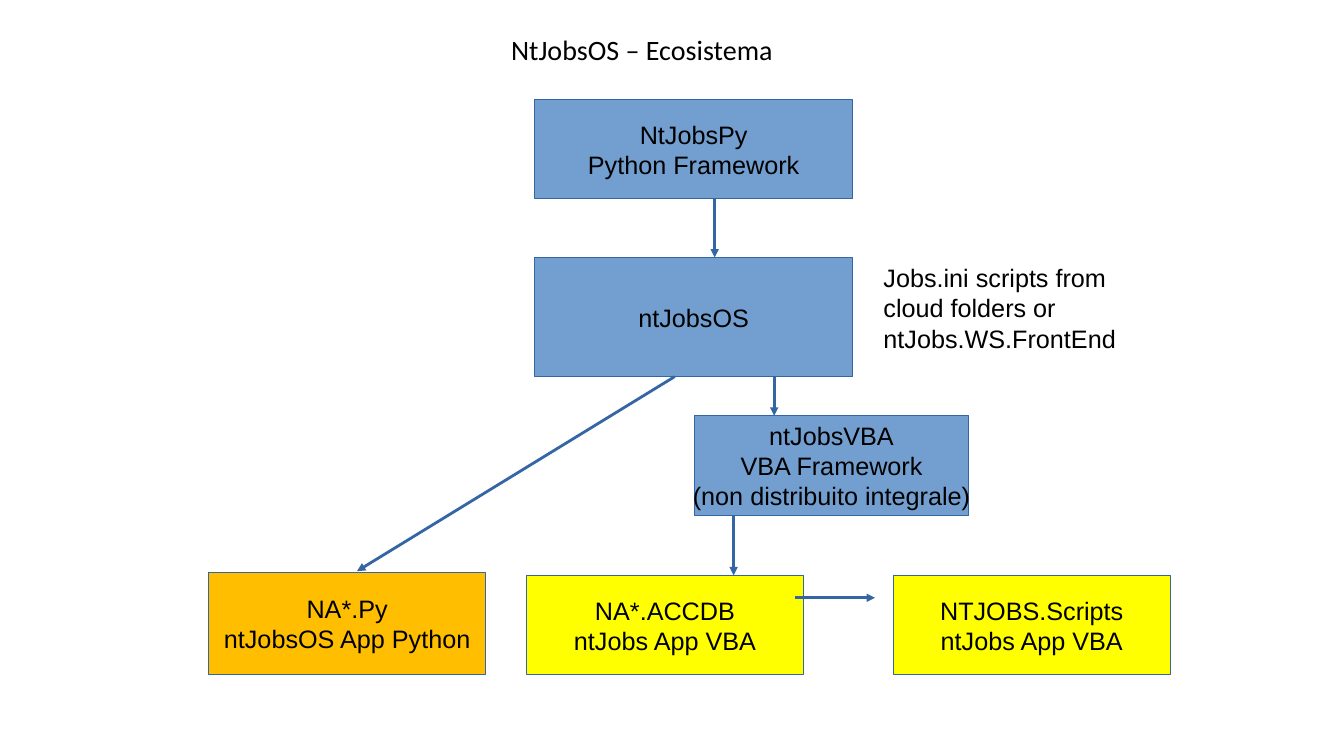
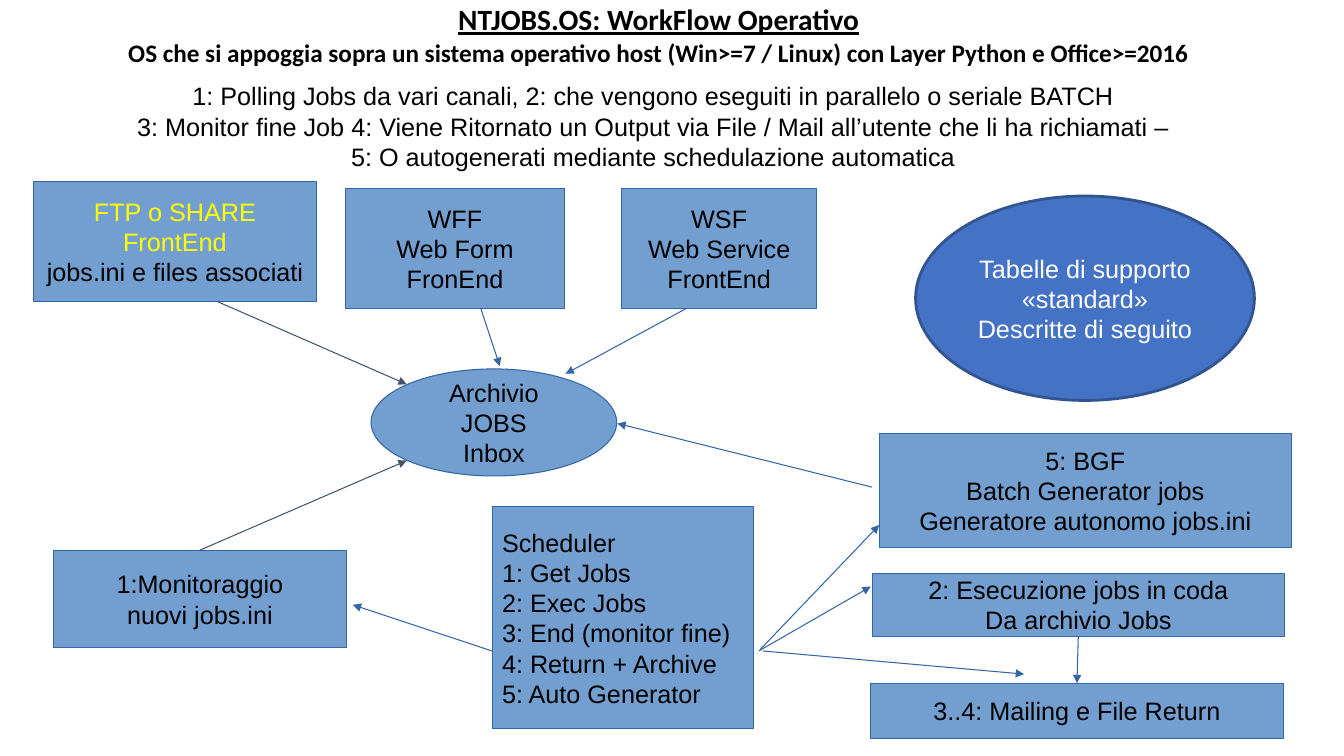
from dataclasses import dataclass
from typing import NamedTuple

from lxml import etree
from pptx import Presentation
from pptx.dml.color import RGBColor
from pptx.enum.shapes import MSO_CONNECTOR, MSO_SHAPE
from pptx.enum.text import MSO_ANCHOR, PP_ALIGN
from pptx.oxml.ns import qn
from pptx.util import Pt

RECT, OVAL = MSO_SHAPE.RECTANGLE, MSO_SHAPE.OVAL
STRAIGHT = MSO_CONNECTOR.STRAIGHT
LEFT, CENTER = PP_ALIGN.LEFT, PP_ALIGN.CENTER
TOP, MIDDLE = MSO_ANCHOR.TOP, MSO_ANCHOR.MIDDLE
SIDE_TOP, SIDE_BOTTOM = 0, 2

COLORS = {
    "black": "000000",
    "white": "FFFFFF",
    "blue": "729FCF",
    "edge": "3465A4",
    "yellow": "FFFF00",
    "orange": "FFBF00",
    "royal": "4472C4",
    "navy": "325490",
    "slate": "44546A",
}


class Area(NamedTuple):
    x: float
    y: float
    w: float
    h: float


@dataclass
class Box:
    name: str
    area: Area
    text: str
    fill: str = "blue"
    kind: int = RECT
    edge: str = "edge"
    width: float | None = None
    ink: str = "black"
    align: int = CENTER


class Arrow(NamedTuple):
    x1: float
    y1: float
    x2: float
    y2: float
    color: str = "edge"
    tail: str = ""
    head: str = ""


def color(name: str) -> RGBColor:
    return RGBColor.from_string(COLORS[name])


def write(frame, text: str, ink: str = "black", align=CENTER,
          font: str = "Arial", size: float = 18) -> None:
    """Fill a text frame, one paragraph a line, in one style."""
    frame.text = text
    for par in frame.paragraphs:
        par.alignment = align
        for run in par.runs:
            run.font.name, run.font.size = font, Pt(size)
            run.font.color.rgb = color(ink)


def add_text(slide, area: Area, text: str, anchor=TOP, **style):
    frame = slide.shapes.add_textbox(*map(Pt, area)).text_frame
    frame.word_wrap = True
    frame.vertical_anchor = anchor
    write(frame, text, **style)
    return frame


def add_title(slide, area: Area, text: str, size: float):
    frame = add_text(slide, area, text, MIDDLE, font="Calibri", size=size)
    frame.margin_left = frame.margin_right = 0
    frame.margin_top = frame.margin_bottom = 0
    return frame


def add_box(slide, box: Box, width: float, wrap: bool):
    shape = slide.shapes.add_shape(box.kind, *map(Pt, box.area))
    shape.shadow.inherit = False
    shape.fill.solid()
    shape.fill.fore_color.rgb = color(box.fill)
    shape.line.color.rgb = color(box.edge)
    shape.line.width = Pt(width if box.width is None else box.width)
    frame = shape.text_frame
    frame.word_wrap = wrap
    frame.vertical_anchor = MIDDLE
    write(frame, box.text, box.ink, box.align)
    return shape


def add_arrow(slide, arrow: Arrow, width: float, shapes: dict) -> None:
    """Draw an arrow, joined to the boxes it names, if any."""
    line = slide.shapes.add_connector(STRAIGHT, *map(Pt, arrow[:4]))
    line.line.color.rgb = color(arrow.color)
    line.line.width = Pt(width)
    props = line._element.spPr
    etree.SubElement(props.find(qn("a:ln")), qn("a:tailEnd"), type="triangle")
    etree.SubElement(props, qn("a:effectLst"))
    if arrow.tail:
        side = SIDE_BOTTOM if arrow.y2 > arrow.y1 else SIDE_TOP
        line.begin_connect(shapes[arrow.tail], side)
    if arrow.head:
        side = SIDE_TOP if arrow.y2 > arrow.y1 else SIDE_BOTTOM
        line.end_connect(shapes[arrow.head], side)


def add_chart(slide, boxes: list[Box], arrows: list[Arrow],
              width: float, wrap: bool) -> dict:
    """Draw boxes, then arrows; return the shapes by name."""
    shapes = {box.name: add_box(slide, box, width, wrap) for box in boxes}
    for arrow in arrows:
        add_arrow(slide, arrow, width, shapes)
    return shapes


SYSTEM = [
    Box("python", Area(382, 71, 227, 71), "NtJobsPy\nPython Framework"),
    Box("core", Area(382, 184, 227, 85), "ntJobsOS"),
    Box("vba", Area(496, 297, 196, 71),
        "ntJobsVBA\nVBA Framework\n(non distribuito integrale)"),
    Box("app", Area(149, 409, 198, 73), "NA*.Py\nntJobsOS App Python", "orange"),
    Box("accdb", Area(376, 411, 198, 71), "NA*.ACCDB\nntJobs App VBA", "yellow"),
    Box("scripts", Area(638, 411, 198, 71),
        "NTJOBS.Scripts\nntJobs App VBA", "yellow"),
]
LINKS = [
    Arrow(510.5, 142, 510.5, 184),
    Arrow(482, 269, 255, 408),
    Arrow(553, 269, 553, 297),
    Arrow(524, 368, 524, 411),
    Arrow(568, 427, 625, 427),
]

FLOW = [
    Box("plan", Area(351.5, 362, 186.5, 158.5),
        "Scheduler\n1: Get Jobs\n2: Exec Jobs\n3: End (monitor fine)\n"
        "4: Return + Archive\n5: Auto Generator", align=LEFT),
    Box("watch", Area(38, 393, 209.5, 69.5), "1:Monitoraggio\nnuovi jobs.ini"),
    Box("batch", Area(628, 309.5, 294.5, 81.5),
        "5: BGF\nBatch Generator jobs\nGeneratore autonomo jobs.ini"),
    Box("run", Area(623, 409.5, 294.5, 45),
        "2: Esecuzione jobs in coda\nDa archivio Jobs"),
    Box("mail", Area(622, 488, 294.5, 39.5), "3..4: Mailing e File Return"),
    Box("inbox", Area(265, 263.5, 175.5, 76.5), "Archivio JOBS\nInbox", kind=OVAL),
    Box("share", Area(24, 129.5, 202, 86),
        "FTP o SHARE\nFrontEnd\njobs.ini e files associati"),
    Box("form", Area(246.5, 134.5, 157, 86), "WFF\nWeb Form FronEnd"),
    Box("service", Area(444, 134.5, 139.5, 86), "WSF\nWeb Service FrontEnd"),
    Box("tables", Area(654, 140, 242, 146),
        "Tabelle di supporto\n«standard»\nDescritte di seguito",
        "royal", OVAL, "navy", 2, "white"),
]
STEPS = [
    Arrow(155.5, 215.5, 290.5, 274.5, "slate"),
    Arrow(343.5, 220.5, 357, 261.5),
    Arrow(490, 220.5, 404, 267),
    Arrow(623, 348, 441, 302.5),
    Arrow(143, 393, 290.5, 329, "slate", tail="watch"),
    Arrow(351.5, 465, 252, 432),
    Arrow(543, 464, 628, 375),
    Arrow(542, 465, 622, 419),
    Arrow(545, 465, 731.5, 481.5),
    Arrow(770, 454.5, 770, 488, tail="run", head="mail"),
]


def draw_system(slide) -> None:
    add_title(slide, Area(45, 17, 827, 36), "NtJobsOS – Ecosistema", 20)
    add_chart(slide, SYSTEM, LINKS, 0, False)
    add_text(slide, Area(624, 184, 199, 68),
             "Jobs.ini scripts from cloud folders or ntJobs.WS.FrontEnd",
             align=LEFT)


def draw_flow(slide) -> None:
    frame = add_title(
        slide, Area(24, 2, 893, 45),
        "NTJOBS.OS: WorkFlow Operativo\n"
        "OS che si appoggia sopra un sistema operativo host "
        "(Win>=7 / Linux) con Layer Python e Office>=2016", 18)
    head, sub = (par.runs[0].font for par in frame.paragraphs)
    head.bold = sub.bold = head.underline = True
    head.size = Pt(21)
    add_text(slide, Area(16.5, 54, 900, 76),
             "1: Polling Jobs da vari canali, 2: che vengono eseguiti in "
             "parallelo o seriale BATCH\n"
             "3: Monitor fine Job 4: Viene Ritornato un Output via File / Mail "
             "all’utente che li ha richiamati –\n"
             "5: O autogenerati mediante schedulazione automatica")
    shapes = add_chart(slide, FLOW, STEPS, 0.75, True)
    for par in shapes["share"].text_frame.paragraphs[:2]:
        par.runs[0].font.color.rgb = color("yellow")


def main() -> None:
    deck = Presentation()
    deck.slide_width, deck.slide_height = Pt(960), Pt(540)
    blank = deck.slide_layouts[6]
    for draw in (draw_system, draw_flow):
        draw(deck.slides.add_slide(blank))
    deck.save("out.pptx")


if __name__ == "__main__":
    main()
